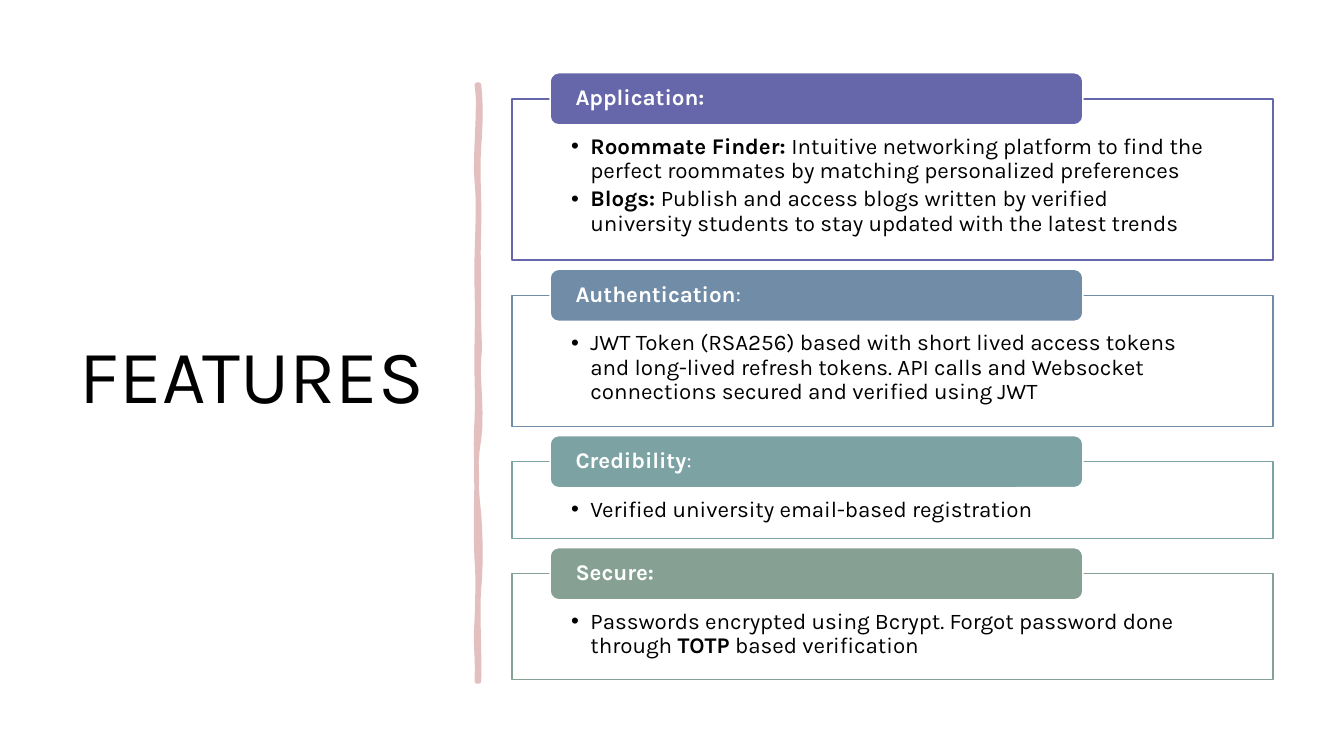
from dataclasses import dataclass
from typing import Optional

from lxml import etree
from pptx import Presentation
from pptx import util as u
from pptx.dml.color import RGBColor
from pptx.enum import shapes, text
from pptx.oxml.ns import qn

SLIDE_WIDTH, SLIDE_HEIGHT = u.Inches(13.33), u.Inches(7.5)
FONT = "Karla"
COLOURS = {
    "ink": "000000",
    "paper": "FFFFFF",
    "brush": "E3C0BF",
    "application": "6667AB",
    "authentication": "718CA7",
    "credibility": "7CA2A3",
    "secure": "86A094",
}

# The slide is a grid of 100 columns by 100 rows.
PANEL_LEFT, PANEL_WIDTH = 38.1, 56.63
FIRST_PANEL_TOP, PANEL_GAP = 13.07, 4.67
TAB_HEIGHT = 6.9

# Edges of the brush stroke as cubic curves, in hundredths of an inch:
# a start point, then two control points and an end point for each curve.
RIGHT_EDGE = [
    (475, 84), (477, 102), (477, 119), (475, 146), (473, 173), (476, 195), (475, 226),
    (474, 257), (475, 262), (475, 294), (474, 325), (477, 342), (475, 356),
    (473, 370), (479, 414), (475, 436), (471, 457), (472, 484), (475, 510),
    (477, 536), (477, 564), (475, 584), (473, 603), (476, 650), (475, 676),
]
LEFT_EDGE = [
    (473, 676), (474, 646), (471, 644), (473, 613), (474, 583), (474, 570), (473, 557),
    (472, 544), (472, 495), (473, 477), (473, 459), (471, 445), (473, 415),
    (474, 386), (472, 373), (473, 335), (474, 298), (472, 281), (473, 250),
    (474, 218), (475, 200), (473, 181), (470, 163), (477, 104), (473, 84),
]

Run = tuple[str, bool]


@dataclass
class Feature:
    colour: str
    heading: list[Run]
    points: list[list[Run]]
    rows: float


FEATURES = [
    Feature("application", [("Application:", True)], [
        [("Roommate Finder: ", True),
         ("Intuitive networking platform to find the perfect roommates by "
          "matching personalized preferences", False)],
        [("Blogs: ", True),
         ("Publish and access blogs written by verified university students "
          "to stay updated with the latest trends", False)],
    ], 21.33),
    Feature("authentication", [("Authentication", True), (":", False)], [
        [("JWT Token (RSA256) based with short lived access tokens and "
          "long-lived refresh tokens. API calls and Websocket connections "
          "secured and verified using JWT", False)],
    ], 17.33),
    Feature("credibility", [("Credibility", True), (":", False)], [
        [("Verified university email-based registration", False)],
    ], 10.15),
    Feature("secure", [("Secure:", True)], [
        [("Passwords encrypted using Bcrypt. Forgot password done through ", False),
         ("TOTP ", True), ("based verification", False)],
    ], 14.0),
]


def columns(count: float) -> int:
    return round(SLIDE_WIDTH * count / 100)


def rows(count: float) -> int:
    return round(SLIDE_HEIGHT * count / 100)


def place(shape, left: float, top: float, width: float, height: float) -> None:
    shape.left, shape.top = columns(left), rows(top)
    shape.width, shape.height = columns(width), rows(height)


def paint(shape, fill: str, line: str, points: float) -> None:
    shape.fill.solid()
    shape.fill.fore_color.rgb = RGBColor.from_string(COLOURS[fill])
    shape.line.color.rgb = RGBColor.from_string(COLOURS[line])
    shape.line.width = u.Pt(points)


def set_frame(frame, anchor, side: float, top: float, bottom: float) -> None:
    frame.word_wrap = True
    frame.auto_size = text.MSO_AUTO_SIZE.NONE
    frame.vertical_anchor = anchor
    frame.margin_left = frame.margin_right = columns(side)
    frame.margin_top, frame.margin_bottom = rows(top), rows(bottom)


def write(paragraph, runs: list[Run], size: float, colour: str,
          bullet: Optional[str] = None) -> None:
    if bullet:
        properties = paragraph._p.get_or_add_pPr()
        properties.set("marL", str(columns(1.43)))
        properties.set("indent", str(-columns(1.43)))
        etree.SubElement(properties, qn("a:buChar")).set("char", bullet)
    paragraph.alignment = text.PP_ALIGN.LEFT
    paragraph.line_spacing = 0.9
    paragraph.space_before = u.Pt(0)
    paragraph.space_after = u.Pt(3 if bullet else 0)
    for words, bold in runs:
        run = paragraph.add_run()
        run.text = words
        run.font.name, run.font.size, run.font.bold = FONT, u.Pt(size), bold
        run.font.color.rgb = RGBColor.from_string(COLOURS[colour])


def sample(edge: list[tuple[int, int]], steps: int = 6) -> list[tuple[int, int]]:
    """Return points along a chain of cubic curves, in EMU."""
    points = [edge[0]]
    for start in range(0, len(edge) - 1, 3):
        curve = edge[start:start + 4]
        for step in range(1, steps + 1):
            t = step / steps
            weights = ((1 - t) ** 3, 3 * t * (1 - t) ** 2, 3 * t * t * (1 - t), t ** 3)
            points.append(tuple(sum(w * p[axis] for w, p in zip(weights, curve))
                                for axis in (0, 1)))
    return [(u.Inches(x / 100), u.Inches(y / 100)) for x, y in points]


def draw_brush(slide) -> None:
    outline = sample(RIGHT_EDGE) + sample(LEFT_EDGE)
    builder = slide.shapes.build_freeform(*outline[0])
    builder.add_line_segments(outline[1:], close=True)
    brush = builder.convert_to_shape()
    brush.shadow.inherit = False
    paint(brush, "brush", "brush", 3.25)


def draw_feature(slide, panel, feature: Feature, top: float) -> None:
    place(panel, PANEL_LEFT, top, PANEL_WIDTH, feature.rows)
    paint(panel, "paper", feature.colour, 1)
    frame = panel.text_frame
    set_frame(frame, text.MSO_ANCHOR.TOP, 4.4, 4.8, 1.6)
    for number, point in enumerate(feature.points):
        paragraph = frame.add_paragraph() if number else frame.paragraphs[0]
        write(paragraph, point, 16, "ink", bullet="•")

    tab = slide.shapes.add_shape(shapes.MSO_SHAPE.ROUNDED_RECTANGLE, 0, 0, 0, 0)
    place(tab, PANEL_LEFT + 0.05 * PANEL_WIDTH, top - TAB_HEIGHT / 2,
          0.7 * PANEL_WIDTH, TAB_HEIGHT)
    tab.shadow.inherit = False
    paint(tab, feature.colour, "paper", 1)
    set_frame(tab.text_frame, text.MSO_ANCHOR.MIDDLE, 1.7, 0, 0)
    write(tab.text_frame.paragraphs[0], feature.heading, 16, "paper")


def main() -> None:
    deck = Presentation()
    deck.slide_width, deck.slide_height = SLIDE_WIDTH, SLIDE_HEIGHT
    slide = deck.slides.add_slide(deck.slide_layouts.get_by_name("Comparison"))

    title, *panels = slide.placeholders
    place(title, 5.2, 9.33, 28.05, 81.5)
    set_frame(title.text_frame, text.MSO_ANCHOR.MIDDLE, 0.75, 0.67, 0.67)
    write(title.text_frame.paragraphs[0], [("FEATURES", False)], 54, "ink")

    draw_brush(slide)

    top = FIRST_PANEL_TOP
    for panel, feature in zip(panels, FEATURES):
        draw_feature(slide, panel, feature, top)
        top += feature.rows + PANEL_GAP

    deck.save("out.pptx")


if __name__ == "__main__":
    main()
